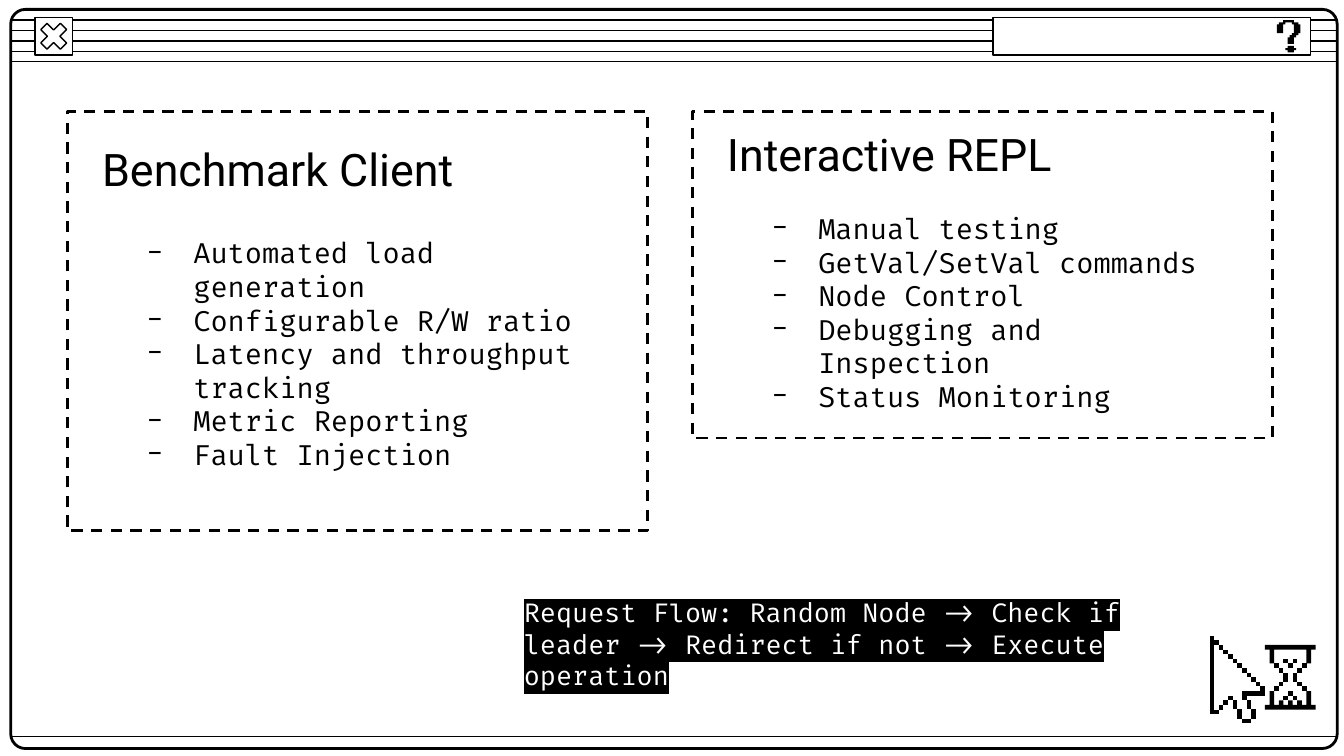
from lxml.etree import SubElement
from pptx import Presentation
from pptx.dml.color import RGBColor
from pptx.enum.dml import MSO_LINE
from pptx.enum.shapes import MSO_CONNECTOR, MSO_SHAPE as SHAPE
from pptx.enum.text import MSO_ANCHOR, MSO_AUTO_SIZE, PP_ALIGN
from pptx.oxml import parse_xml
from pptx.oxml.ns import nsdecls, qn
from pptx.util import Inches, Pt

BLACK, WHITE = "000000", "FFFFFF"
HEADING_FONT, BODY_FONT = "Roboto", "Fira Code"

# Content; tops and heights in inches
PANELS = [
    {"heading": "Benchmark Client", "left": 0.5, "height": 3.12,
     "heading_top": 1.01, "list_top": 1.67, "list_height": 1.92,
     "items": ["Automated load generation", "Configurable R/W ratio",
               "Latency and throughput tracking", "Metric Reporting",
               "Fault Injection"]},
    {"heading": "Interactive REPL", "left": 5.15, "height": 2.43,
     "heading_top": 0.9, "list_top": 1.61, "list_height": 1.43,
     "items": ["Manual testing", "GetVal/SetVal commands", "Node Control",
               "Debugging and Inspection", "Status Monitoring"]},
]
REQUEST_FLOW = ("Request Flow: Random Node -> Check if leader -> "
                "Redirect if not -> Execute operation")

# Pixel icons. An outline is a start column and row, then alternating
# target rows and columns; a block is column, row, width and height.
QUESTION_DOT = [5, 12, 13, 4, 14, 5, 15, 8, 14, 9, 13, 8, 12]
QUESTION_HOOK = [3, 0, 1, 1, 2, 0, 6, 3, 2, 4, 1, 7, 2, 8, 6, 7, 7, 6, 8, 5, 11,
                 8, 8, 9, 7, 10, 6, 11, 2, 10, 1, 8, 0]
CURSOR_BODY = [0, 0, 17, 2, 16, 3, 15, 4, 14, 5, 16, 6, 18, 7, 19, 9, 18, 10, 16,
               9, 14, 8, 13, 12, 11, 11, 10, 10, 9, 9, 8, 8, 7, 7, 6, 6, 5, 5,
               4, 4, 3, 3, 2, 2, 1, 1, 0]
CURSOR_BLOCKS = [(0, 0, 1, 17), *((i, i, 1, 1) for i in range(1, 12)),
                 (7, 12, 5, 1), (7, 13, 1, 1), (4, 13, 1, 1), (5, 14, 1, 2),
                 (6, 16, 1, 2), (7, 18, 2, 1), (8, 14, 1, 2), (9, 16, 1, 2),
                 (3, 14, 1, 1), (2, 15, 1, 1), (1, 16, 1, 1)]
GLASS_BODY = [12, 2, 3, 13, 6, 14, 7, 15, 8, 16, 10, 15, 11, 14, 12, 13, 15, 12,
              16, 23, 15, 22, 12, 21, 11, 20, 10, 19, 8, 20, 7, 21, 6, 22, 3, 23, 2]
GLASS_CAP = [12, 2, 3, 13, 6, 14, 3, 21, 6, 22, 3, 23, 2]
GLASS_BASE = [13, 12, 15, 12, 16, 23, 15, 22, 12, 21, 15, 20, 14, 19, 15, 18, 14,
              17, 15, 16, 14, 15, 15, 14, 12]
GLASS_BLOCKS = [(14, 6, 1, 1), (15, 7, 1, 1), (17, 6, 1, 1), (16, 5, 1, 1),
                (18, 5, 1, 1), (16, 8, 1, 2), (15, 10, 1, 1), (14, 11, 1, 1),
                (18, 13, 1, 1), (16, 13, 1, 1), (17, 12, 1, 1), (20, 6, 1, 1),
                (19, 7, 1, 1), (18, 8, 1, 2), (19, 10, 1, 1), (20, 11, 1, 1)]

# Window geometry
LEFT, RIGHT = 0.08, 9.95
BAR_TOP, BAR_BOTTOM, BAR_RULES = 0.15, 0.46, 5
PANEL_TOP, PANEL_WIDTH, TEXT_WIDTH = 0.83, 4.32, 3.71
HEADING_INDENT, LIST_INDENT = 0.16, 0.34

prs = Presentation()
prs.slide_width = Inches(10)
prs.slide_height = prs.slide_width * 9 // 16
slide = prs.slides.add_slide(prs.slide_layouts[5])
shapes = slide.shapes


def color(hex_string):
    return RGBColor.from_string(hex_string)


def inches(*lengths):
    return [Inches(length) for length in lengths]


def add_rule(y):
    rule = shapes.add_connector(MSO_CONNECTOR.STRAIGHT, *inches(LEFT, y, RIGHT, y))
    rule.line.color.rgb = color(BLACK)
    rule.line.width = Pt(0.75)
    SubElement(rule._element.spPr, qn("a:effectLst"))


def add_box(kind, box, width, fill=None, adjust=None, dash=None):
    shape = shapes.add_shape(kind, *inches(*box))
    shape.shadow.inherit = False
    if fill:
        shape.fill.solid()
        shape.fill.fore_color.rgb = color(fill)
    else:
        shape.fill.background()
    shape.line.color.rgb = color(BLACK)
    shape.line.width = Pt(width)
    if adjust is not None:
        shape.adjustments[0] = adjust
    if dash:
        shape.line.dash_style = dash


def add_pixels(group, origin, cell, outline, fill=BLACK):
    col, row, *turns = outline
    corners = [(col, row)]
    for i, turn in enumerate(turns):
        col, row = (turn, row) if i % 2 else (col, turn)
        corners.append((col, row))
    points = [tuple(inches(origin[0] + c * cell, origin[1] + r * cell))
              for c, r in corners]
    builder = group.shapes.build_freeform(*points[0])
    builder.add_line_segments(points[1:], close=True)
    pixels = builder.convert_to_shape()
    pixels.shadow.inherit = False
    pixels.fill.solid()
    pixels.fill.fore_color.rgb = color(fill)
    pixels.line.fill.background()


def block_outline(col, row, width, height):
    return [col, row, row + height, col + width, row]


def fill_text(holder, box, lines, font, size, bullet=None):
    holder.left, holder.top, holder.width, holder.height = inches(*box)
    frame = holder.text_frame
    frame.word_wrap = True
    frame.auto_size = MSO_AUTO_SIZE.NONE
    frame.vertical_anchor = MSO_ANCHOR.MIDDLE
    frame.margin_left = frame.margin_right = Inches(0.1)
    frame.margin_top = frame.margin_bottom = Inches(0.1)
    frame.text = "\n".join(lines)
    for para in frame.paragraphs:
        para.alignment = PP_ALIGN.LEFT
        if bullet:
            props = para._p.get_or_add_pPr()
            props.set("marL", str(Inches(0.5)))
            props.set("indent", str(Inches(-0.35)))
            tint = SubElement(props, qn("a:buClr"))
            SubElement(tint, qn("a:srgbClr"), val=BLACK)
            SubElement(props, qn("a:buFont"), typeface=font)
            SubElement(props, qn("a:buChar"), char=bullet)
        para.font.name, para.font.size = font, Pt(size)
        para.font.color.rgb = color(BLACK)


# Window frame and title bar
for i in range(BAR_RULES):
    add_rule(BAR_TOP + (BAR_BOTTOM - BAR_TOP) * i / (BAR_RULES - 1))
add_box(SHAPE.ROUNDED_RECTANGLE, (LEFT, 0.07, RIGHT - LEFT, 5.5), 1.5, adjust=0.02)
close_button = (0.26, 0.13, 0.28, 0.28)
add_box(SHAPE.RECTANGLE, close_button, 0.75, WHITE)
add_box(SHAPE.MATH_MULTIPLY, close_button, 0.75, WHITE, adjust=0.235)
add_rule(5.48)
add_box(SHAPE.RECTANGLE, (7.39, 0.13, 2.36, 0.28), 0.75, WHITE)
question = shapes.add_group_shape()
for outline in (QUESTION_DOT, QUESTION_HOOK):
    add_pixels(question, (9.5, 0.15), 0.24 / 15, outline)

# Dashed panels; the first heading is the slide title
for i, panel in enumerate(PANELS):
    left = panel["left"]
    add_box(SHAPE.RECTANGLE, (left, PANEL_TOP, PANEL_WIDTH, panel["height"]), 1.5,
            dash=MSO_LINE.DASH)
    heading = shapes.add_textbox(0, 0, 0, 0) if i else shapes.title
    fill_text(heading, (left + HEADING_INDENT, panel["heading_top"], TEXT_WIDTH, 0.49),
              [panel["heading"]], HEADING_FONT, 24)
    fill_text(shapes.add_textbox(0, 0, 0, 0),
              (left + LIST_INDENT, panel["list_top"], TEXT_WIDTH, panel["list_height"]),
              panel["items"], BODY_FONT, 15, bullet="-")

# Cursor and hourglass
pointer = shapes.add_group_shape()
for body, details in (
        (CURSOR_BODY, [block_outline(*b) for b in CURSOR_BLOCKS]),
        (GLASS_BODY, [GLASS_CAP, GLASS_BASE,
                      *(block_outline(*b) for b in GLASS_BLOCKS)])):
    for outline in (body, *details):
        add_pixels(pointer, (9, 4.73), 0.79 / 23, outline,
                   WHITE if outline is body else BLACK)

# Highlighted request flow
flow = shapes.add_textbox(*inches(3.8, 4.39, 4.97, 0.81)).text_frame
flow.word_wrap = True
flow.auto_size = MSO_AUTO_SIZE.SHAPE_TO_FIT_TEXT
run = flow.paragraphs[0].add_run()
run.text = REQUEST_FLOW
run.font.name, run.font.size = BODY_FONT, Pt(14)
run.font.color.rgb = color(WHITE)
run._r.rPr.find(qn("a:solidFill")).addnext(parse_xml(
    f'<a:highlight {nsdecls("a")}><a:srgbClr val="{BLACK}"/></a:highlight>'))

prs.save("out.pptx")
